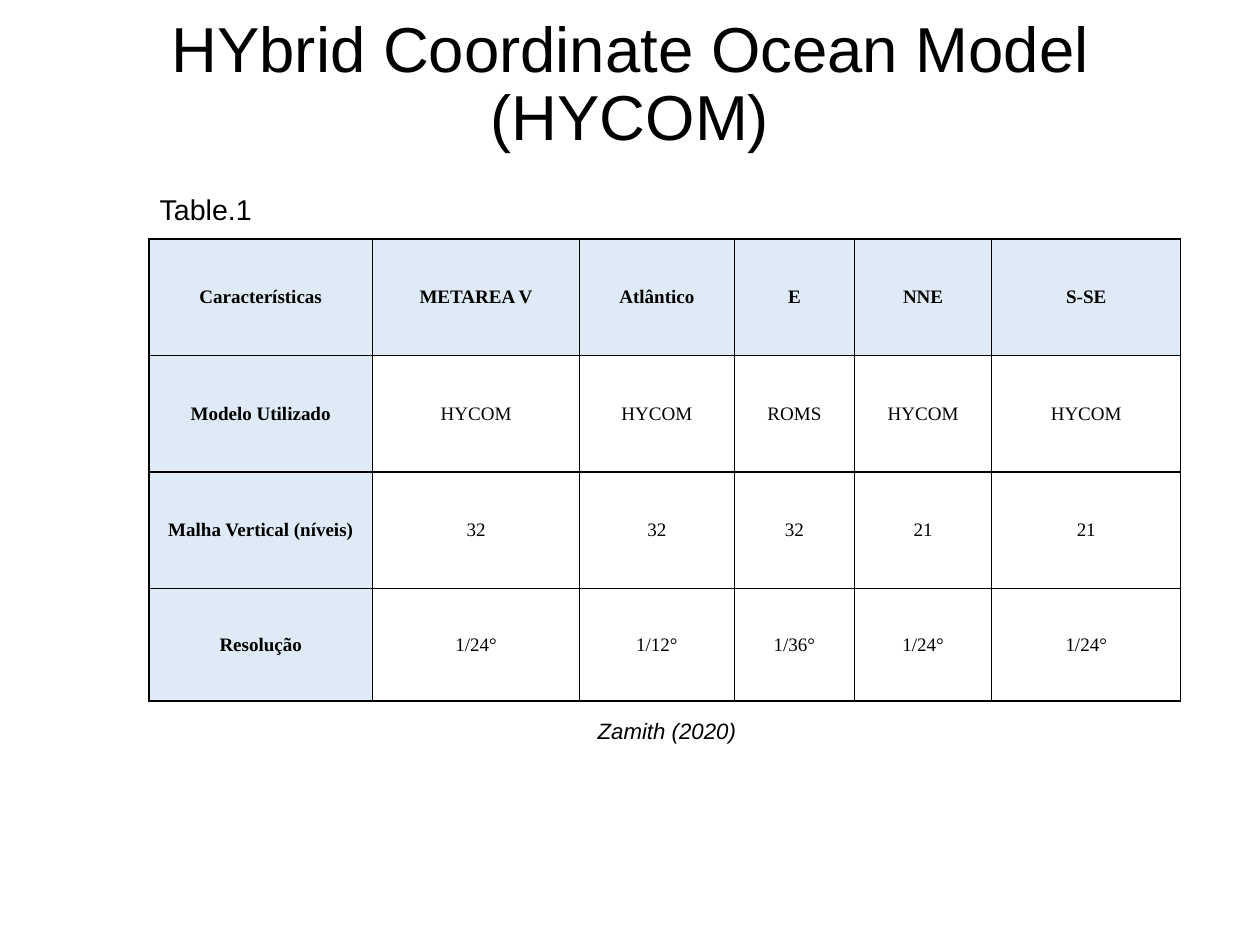
from dataclasses import dataclass

from lxml.etree import SubElement
from pptx import Presentation
from pptx.dml.color import RGBColor
from pptx.enum.text import MSO_ANCHOR, PP_ALIGN
from pptx.oxml.ns import qn
from pptx.util import Cm, Pt


@dataclass(frozen=True)
class Theme:
    ink: str = "000000"
    header_fill: str = "DEEAF6"
    body_fill: str = "FFFFFF"
    sans: str = "Arial"
    serif: str = "Times New Roman"
    title_size: int = 40
    label_size: int = 18
    source_size: int = 14
    cell_size: int = 12
    border_width: int = 1


THEME = Theme()

COLUMN_WIDTHS = [4.97, 4.6, 3.44, 2.67, 3.05, 4.2]
ROW_HEIGHTS = [2.59, 2.59, 2.59, 2.5]
MODEL_ROWS = [
    ["Características", "METAREA V", "Atlântico", "E", "NNE", "S-SE"],
    ["Modelo Utilizado", "HYCOM", "HYCOM", "ROMS", "HYCOM", "HYCOM"],
    ["Malha Vertical (níveis)", "32", "32", "32", "21", "21"],
    ["Resolução", "1/24°", "1/12°", "1/36°", "1/24°", "1/24°"],
]


def style_font(font, name, size, bold=False, italic=False):
    font.name = name
    font.size = Pt(size)
    font.bold = bold
    font.italic = italic
    font.color.rgb = RGBColor.from_string(THEME.ink)


def add_text(page, text, left, top, width, height, size, italic=False):
    box = page.shapes.add_textbox(Cm(left), Cm(top), Cm(width), Cm(height))
    box.text_frame.word_wrap = True
    para = box.text_frame.paragraphs[0]
    para.text = text
    style_font(para.font, THEME.sans, size, italic=italic)
    return box


def add_title(page, text):
    box = add_text(page, text, 1.4, 0.38, 25.2, 3.07, THEME.title_size)
    frame = box.text_frame
    frame.margin_left = frame.margin_right = 0
    frame.margin_top = frame.margin_bottom = 0
    frame.vertical_anchor = MSO_ANCHOR.MIDDLE
    frame.paragraphs[0].alignment = PP_ALIGN.CENTER
    frame.paragraphs[0].line_spacing = 0.9


def add_borders(cell):
    properties = cell._tc.get_or_add_tcPr()
    for side in ("a:lnL", "a:lnR", "a:lnT", "a:lnB"):
        line = SubElement(properties, qn(side), w=str(Pt(THEME.border_width)))
        fill = SubElement(line, qn("a:solidFill"))
        SubElement(fill, qn("a:srgbClr"), val=THEME.ink)


def fill_cell(cell, text, is_header):
    add_borders(cell)
    cell.fill.solid()
    color = THEME.header_fill if is_header else THEME.body_fill
    cell.fill.fore_color.rgb = RGBColor.from_string(color)
    cell.margin_left = cell.margin_right = Cm(0.18)
    cell.margin_top = cell.margin_bottom = 0
    cell.vertical_anchor = MSO_ANCHOR.MIDDLE
    para = cell.text_frame.paragraphs[0]
    para.text = text
    para.alignment = PP_ALIGN.CENTER
    style_font(para.font, THEME.serif, THEME.cell_size, bold=is_header)


def add_model_table(page, left, top):
    table = page.shapes.add_table(
        len(MODEL_ROWS), len(COLUMN_WIDTHS), Cm(left), Cm(top),
        Cm(sum(COLUMN_WIDTHS)), Cm(sum(ROW_HEIGHTS)),
    ).table
    for column, width in zip(table.columns, COLUMN_WIDTHS):
        column.width = Cm(width)
    for row, height in zip(table.rows, ROW_HEIGHTS):
        row.height = Cm(height)
    for r, texts in enumerate(MODEL_ROWS):
        for c, text in enumerate(texts):
            fill_cell(table.cell(r, c), text, is_header=r == 0 or c == 0)


def main():
    deck = Presentation()
    deck.slide_width, deck.slide_height = Cm(28), Cm(21)
    page = deck.slides.add_slide(deck.slide_layouts[6])

    # Title
    add_title(page, "HYbrid Coordinate Ocean Model (HYCOM)")

    # Table with its label above and its source below
    add_model_table(page, 3.31, 5.31)
    add_text(page, "Table.1", 3.3, 4.14, 4.72, 1.02, THEME.label_size)
    add_text(page, "Zamith (2020)", 13.03, 15.82, 4.72, 0.86,
             THEME.source_size, italic=True)

    deck.save("out.pptx")


if __name__ == "__main__":
    main()
